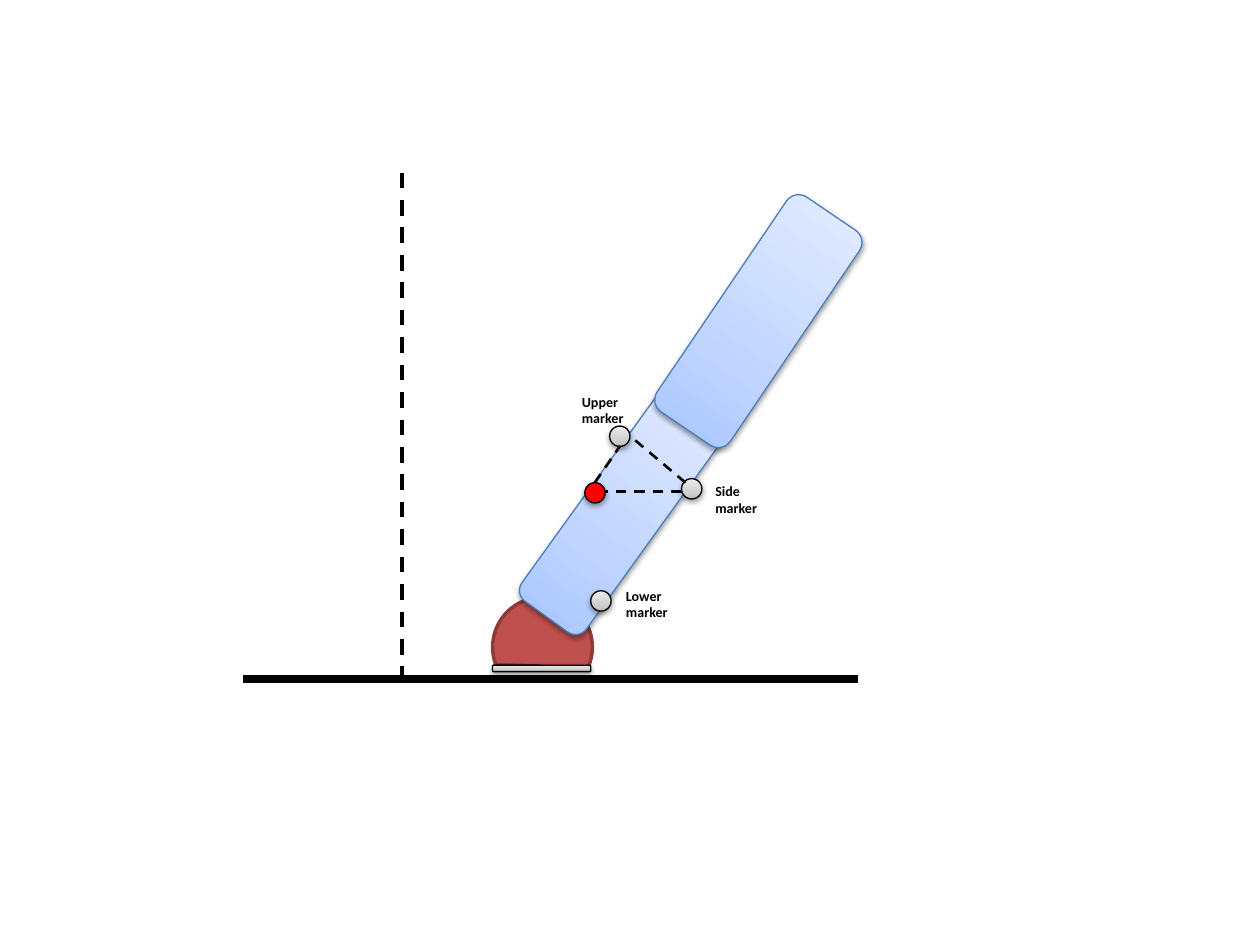
from copy import deepcopy
from dataclasses import dataclass
from lxml import etree
from pptx import Presentation
from pptx.dml.color import RGBColor
from pptx.enum.dml import MSO_LINE
from pptx.enum.shapes import MSO_CONNECTOR, MSO_SHAPE
from pptx.enum.text import MSO_AUTO_SIZE
from pptx.oxml.ns import qn
from pptx.util import Cm, Pt

DASH = MSO_LINE.DASH
LINE = MSO_CONNECTOR.STRAIGHT
ROUND = MSO_SHAPE.ROUNDED_RECTANGLE
OVAL = MSO_SHAPE.OVAL
CHORD = MSO_SHAPE.CHORD
GROW = MSO_AUTO_SIZE.SHAPE_TO_FIT_TEXT


@dataclass(frozen=True)
class Theme:
    font: str = "Calibri"
    small: float = 8
    thin: float = 0.75
    link: float = 1.5
    bold: float = 2
    axis: float = 2.25
    ground: float = 4.5
    ink: str = "000000"
    red: str = "FF0000"
    foot: str = "C0504D"
    rim: str = "8E3B39"
    edge: str = "4B7EBC"
    gray: tuple = ("BDBDBD", "D1D1D1", "EEEEEE")
    blue: tuple = ("A4C4FF", "BFD4FF", "E6EEFF")
    stops: tuple = (0, 0.35, 1)


def apply(item, form):
    for key, value in form.items():
        setattr(item, key, value)


class Sketch:
    def __init__(self, slide, theme):
        self.slide = slide
        self.theme = theme

    def paint(self, shape, tint):
        fill = shape.fill
        if isinstance(tint, str):
            fill.solid()
            fill.fore_color.rgb = RGBColor.from_string(tint)
            return
        fill.gradient()
        fill.gradient_angle = 90
        stops = shape._element.spPr.find(".//" + qn("a:gsLst"))
        stops.append(deepcopy(stops[-1]))
        for stop, spot, color in zip(fill.gradient_stops, self.theme.stops, tint):
            stop.position = spot
            stop.color.rgb = RGBColor.from_string(color)

    def shade(self, shape):
        shape.shadow.inherit = False
        effect = shape._element.spPr.find(qn("a:effectLst"))
        form = {"blurRad": "40000", "dist": "20000", "dir": "5400000",
                "rotWithShape": "0"}
        outer = etree.SubElement(effect, qn("a:outerShdw"), form)
        color = etree.SubElement(outer, qn("a:srgbClr"), val=self.theme.ink)
        etree.SubElement(color, qn("a:alpha"), val="38000")

    def shape(self, kind, box, tint, edge, width, turn=0, shadow=True):
        shape = self.slide.shapes.add_shape(kind, *map(Cm, box))
        shape.rotation = turn
        self.paint(shape, tint)
        shape.line.color.rgb = RGBColor.from_string(edge)
        shape.line.width = Pt(width)
        shape.shadow.inherit = False
        if shadow:
            self.shade(shape)

    def limb(self, box, turn):
        self.shape(ROUND, box, self.theme.blue, self.theme.edge, self.theme.thin, turn)

    def dot(self, left, top, tint):
        self.shape(OVAL, (left, top, 0.41, 0.41), tint, self.theme.ink, self.theme.thin)

    def line(self, ends, width, dash=DASH):
        line = self.slide.shapes.add_connector(LINE, *map(Cm, ends))
        line.line.color.rgb = RGBColor.from_string(self.theme.ink)
        apply(line.line, {"width": Pt(width), "dash_style": dash})
        etree.SubElement(line._element.spPr, qn("a:effectLst"))

    def label(self, left, top, words):
        box = self.slide.shapes.add_textbox(Cm(left), Cm(top), Cm(1.37), Cm(0.94))
        frame = box.text_frame
        frame.text = words
        apply(frame, {"word_wrap": False, "auto_size": GROW})
        form = {"name": self.theme.font, "size": Pt(self.theme.small), "bold": True}
        for para in frame.paragraphs:
            for run in para.runs:
                apply(run.font, form)
                run.font.color.rgb = RGBColor.from_string(self.theme.ink)


deck = Presentation()
apply(deck, {"slide_width": Cm(25.4), "slide_height": Cm(19.05)})
theme = Theme()
leg = Sketch(deck.slides.add_slide(deck.slide_layouts[6]), theme)

leg.line((8.1, 3.48, 8.1, 13.69), theme.axis)
leg.shape(CHORD, (9.93, 12.04, 2.01, 2.01), theme.foot, theme.rim, theme.bold,
          114.6, False)
leg.line((4.9, 13.69, 17.3, 13.69), theme.ground, None)
leg.shape(ROUND, (9.93, 13.41, 1.98, 0.13), theme.gray, theme.ink, theme.thin)
leg.limb((11.76, 7.65, 1.6, 5.28), 35.8)
leg.limb((14.4, 3.86, 1.78, 5.23), 34.1)

leg.dot(13.74, 9.65, theme.gray)
leg.dot(12.29, 8.59, theme.gray)
leg.line((13.82, 9.73, 12.7, 8.79), theme.link)
leg.dot(11.79, 9.73, theme.red)
leg.line((13.74, 9.91, 12.17, 9.91), theme.link)
leg.line((11.99, 9.73, 12.5, 8.99), theme.link)
leg.dot(11.91, 11.91, theme.gray)

for left, top, word in (
    (11.48, 7.8, "Upper "),
    (14.17, 9.6, "Side"),
    (12.37, 11.71, "Lower"),
):
    leg.label(left, top, word + "\nmarker")

deck.save("out.pptx")
